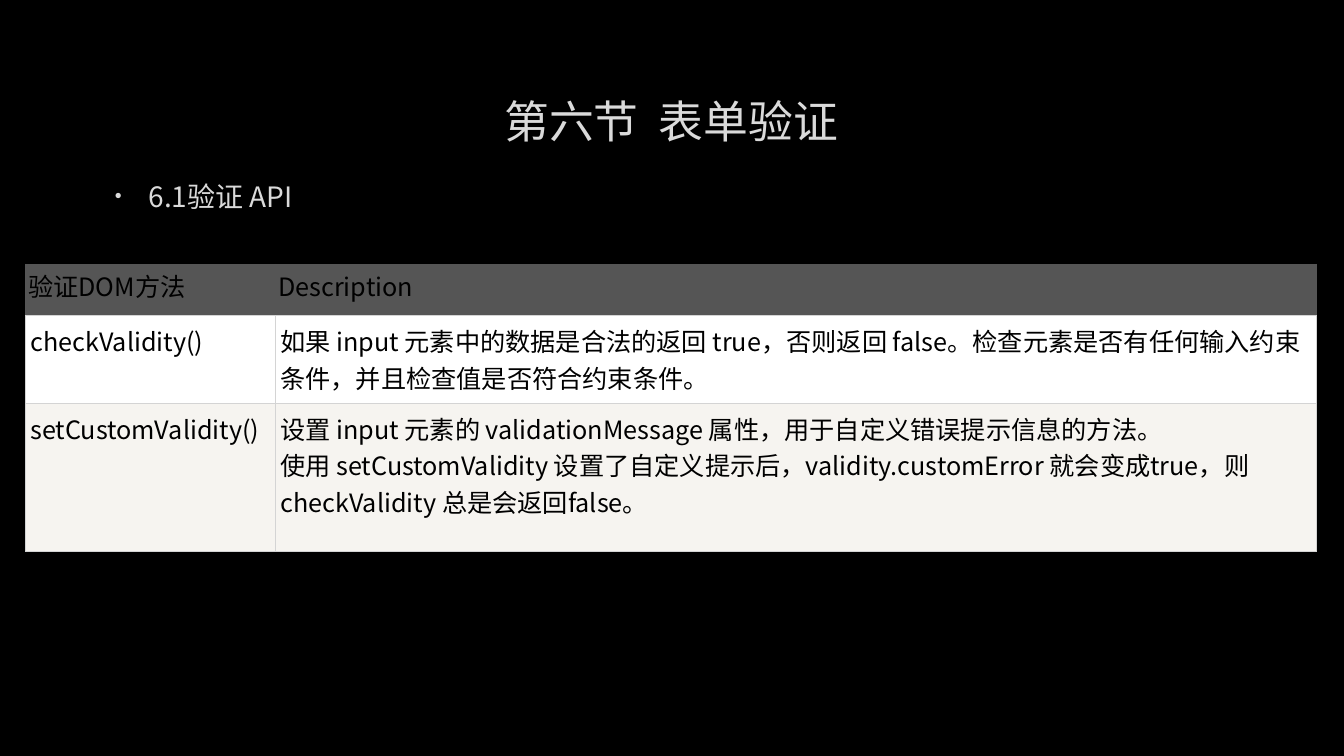
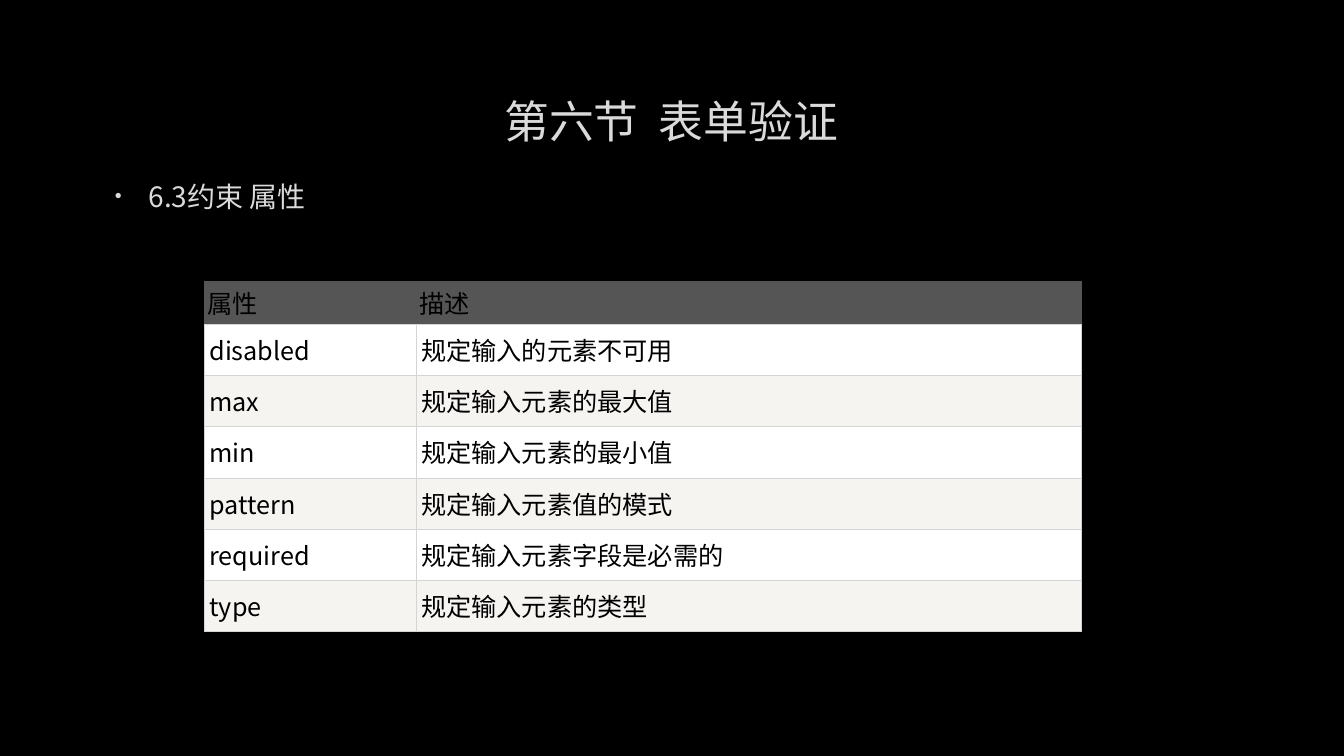
from lxml import etree
from pptx import Presentation
from pptx.dml.color import RGBColor
from pptx.enum import text
from pptx.oxml import ns
from pptx.util import Pt

# Shared look
SANS = "Noto Sans CJK SC"
BLACK, WHITE, LIGHT = "000000", "FFFFFF", "DADADA"
HEADER, BAND, GRID = "555555", "F6F4F0", "D4D4D4"
TITLE = "第六节  表单验证"
TITLE_BOX = (72, 48, 815, 76.5)
TOPIC_BOX = (72, 124.5, 815, 42)
TITLE_FONT = {"name": "Roboto", "size": Pt(32)}
TOPIC_FONT = {"name": SANS, "size": Pt(20)}
CELL_FONT = {"name": SANS, "size": Pt(18), "bold": False}


def rgb(value):
    return RGBColor.from_string(value)


def add_xml(parent, tag, index=None, **attrs):
    node = etree.Element(ns.qn(tag), attrs)
    parent.insert(len(parent) if index is None else index, node)
    return node


def write(p, words, font, color):
    r = p.add_run()
    r.text = words
    for key, value in font.items():
        setattr(r.font, key, value)
    r.font.color.rgb = rgb(color)
    add_xml(r._r.get_or_add_rPr(), "a:ea", typeface=SANS)


def add_text(s, box, words, font):
    tf = s.shapes.add_textbox(*map(Pt, box)).text_frame
    tf.word_wrap = True
    write(tf.paragraphs[0], words, font, LIGHT)
    return tf


# Heading: centred title
def add_title(s, box):
    tf = add_text(s, box, TITLE, TITLE_FONT)
    tf.vertical_anchor = text.MSO_ANCHOR.MIDDLE
    tf.paragraphs[0].alignment = text.PP_ALIGN.CENTER


# Topic: one bulleted line
def add_topic(s, box, words):
    p = add_text(s, box, words, TOPIC_FONT).paragraphs[0]
    p.space_after = Pt(6)
    pPr = p._p.get_or_add_pPr()
    pPr.set("marL", str(Pt(27)))
    pPr.set("indent", str(Pt(-24)))
    color = add_xml(pPr, "a:buClr")
    add_xml(color, "a:srgbClr", val=LIGHT)
    add_xml(pPr, "a:buSzPct", val="70000")
    add_xml(pPr, "a:buFont", typeface="Arial")
    add_xml(pPr, "a:buChar", char="•")


def set_borders(cell, colors):
    tcPr = cell._tc.get_or_add_tcPr()
    for i, (side, color) in enumerate(zip("LRTB", colors)):
        line = add_xml(tcPr, "a:ln" + side, i, w=str(Pt(0.38)))
        add_xml(add_xml(line, "a:solidFill"), "a:srgbClr", val=color)


def fill_cell(cell, words, row):
    is_header = row == 0
    fill = HEADER if is_header else (BAND, WHITE)[row % 2]
    cell.fill.solid()
    cell.fill.fore_color.rgb = rgb(fill)
    side, end = (2.2, 2.2) if is_header else (3.6, 5)
    margins = {"left": side, "right": side, "top": end, "bottom": end}
    for edge, size in margins.items():
        setattr(cell, "margin_" + edge, Pt(size))
    tf = cell.text_frame
    for i, line in enumerate(words.split("\n")):
        p = tf.add_paragraph() if i else tf.paragraphs[0]
        write(p, line, CELL_FONT, BLACK)
    set_borders(cell, [HEADER] * 3 + [GRID] if is_header else [GRID] * 4)


# Table: grey header above banded rows
def add_grid(s, left, top, widths, heights, rows):
    box = (left, top, sum(widths), sum(heights))
    table = s.shapes.add_table(len(rows), len(widths), *map(Pt, box)).table
    table.first_row = table.horz_banding = False
    for column, width in zip(table.columns, widths):
        column.width = Pt(width)
    for i, (height, row) in enumerate(zip(heights, rows)):
        table.rows[i].height = Pt(height)
        for j, words in enumerate(row):
            fill_cell(table.cell(i, j), words, i)


def add_table_slide(prs, topic, **grid):
    s = prs.slides.add_slide(prs.slide_layouts[6])
    add_title(s, TITLE_BOX)
    add_topic(s, TOPIC_BOX, topic)
    add_grid(s, **grid)


METHODS = [
    ("验证DOM方法", "Description"),
    ("checkValidity()",
     "如果 input 元素中的数据是合法的返回 true，否则返回 false。"
     "检查元素是否有任何输入约束条件，并且检查值是否符合约束条件。"),
    ("setCustomValidity()",
     "设置 input 元素的 validationMessage 属性，用于自定义错误提示信息的方法。\n"
     "使用 setCustomValidity 设置了自定义提示后，validity.customError "
     "就会变成true，则 checkValidity 总是会返回false。"),
]
ATTRIBUTES = [
    ("属性", "描述"),
    ("disabled", "规定输入的元素不可用"),
    ("max", "规定输入元素的最大值"),
    ("min", "规定输入元素的最小值"),
    ("pattern", "规定输入元素值的模式"),
    ("required", "规定输入元素字段是必需的"),
    ("type", "规定输入元素的类型"),
]


def main():
    prs = Presentation()
    prs.slide_width, prs.slide_height = Pt(960), Pt(540)
    background = prs.slide_master.background.fill
    background.solid()
    background.fore_color.rgb = rgb(BLACK)

    add_table_slide(prs, "6.1验证 API", left=18, top=188.6,
                    widths=[178.6, 743.7], heights=[36.7, 62.7, 105.8],
                    rows=METHODS)
    add_table_slide(prs, "6.3约束 属性", left=146, top=200.8,
                    widths=[151.2, 475.2], heights=[30.7] + [36.6] * 6,
                    rows=ATTRIBUTES)
    prs.save("out.pptx")


if __name__ == "__main__":
    main()
